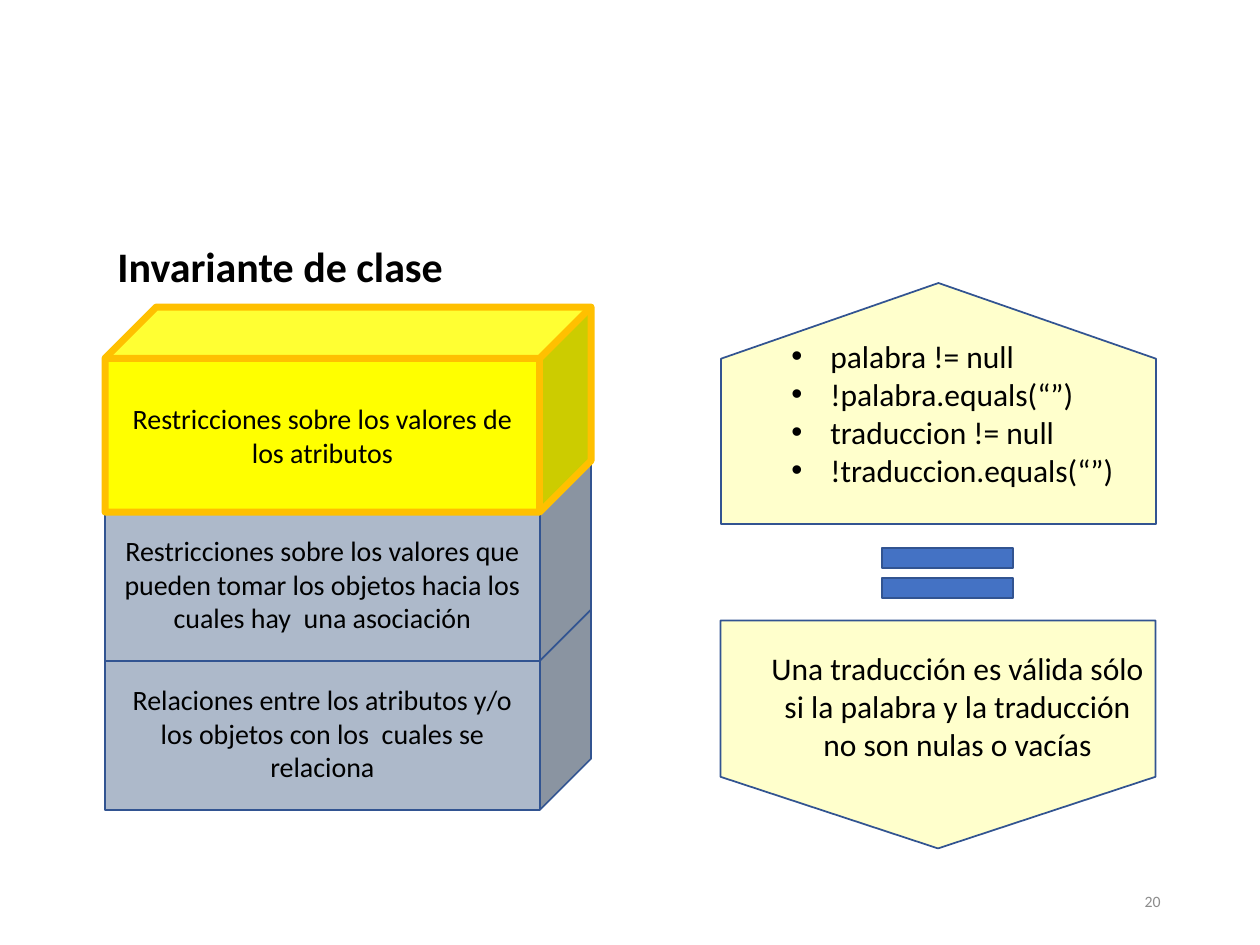
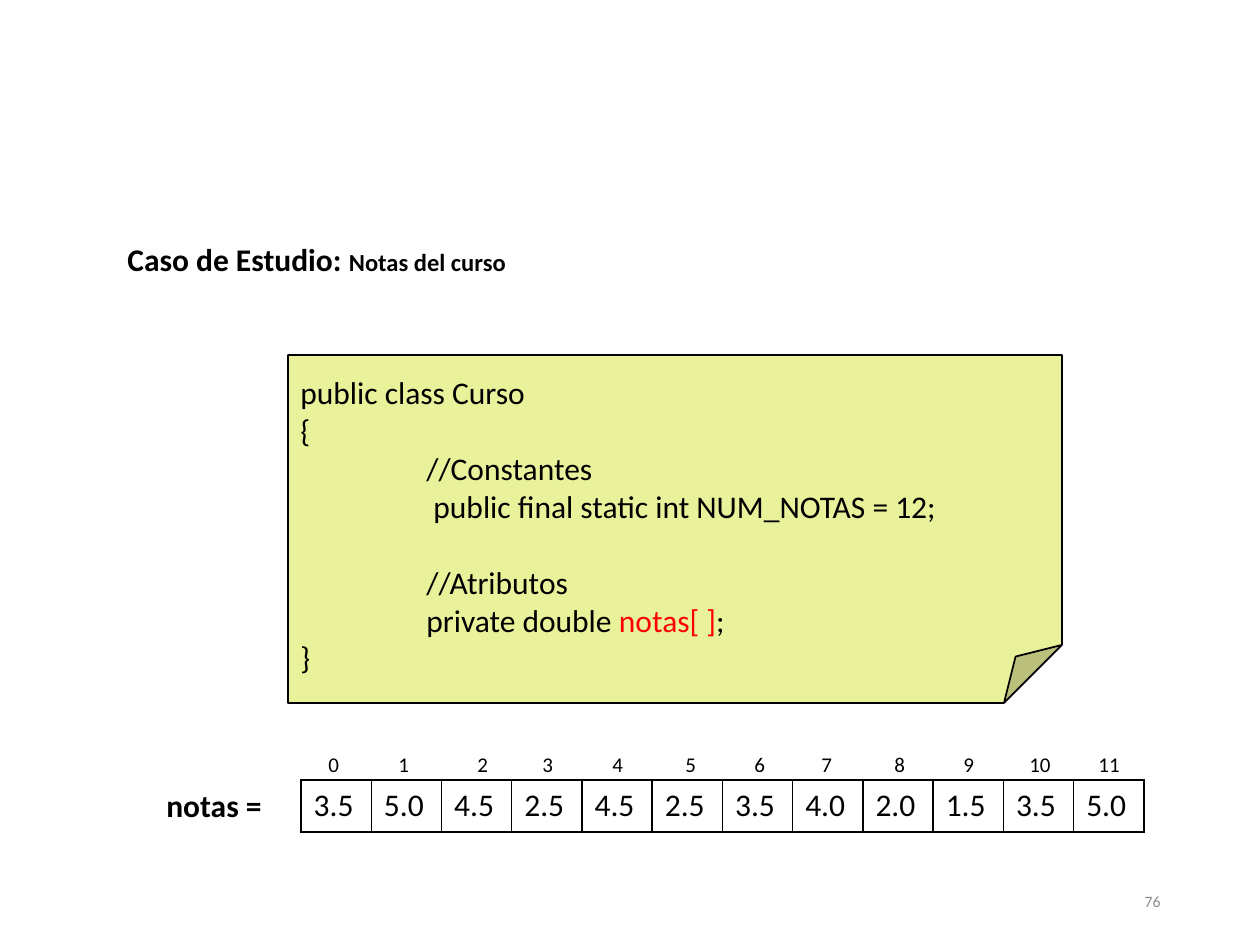
from lxml import etree
from pptx import Presentation
from pptx.dml.color import RGBColor
from pptx.enum.shapes import MSO_SHAPE
from pptx.enum.text import MSO_ANCHOR, MSO_AUTO_SIZE, PP_ALIGN
from pptx.oxml.ns import qn
from pptx.util import Pt

CENTER, RIGHT = PP_ALIGN.CENTER, PP_ALIGN.RIGHT
MIDDLE = MSO_ANCHOR.MIDDLE
GROW = MSO_AUTO_SIZE.SHAPE_TO_FIT_TEXT
PENTAGON, CUBE = MSO_SHAPE.PENTAGON, MSO_SHAPE.CUBE
EQUAL, NOTE = MSO_SHAPE.MATH_EQUAL, MSO_SHAPE.FOLDED_CORNER

SCALE = 914400 / 126
FONT = "Calibri"
BLACK, RED, GREY = "000000", "FF0000", "8C8C8C"
NAVY, BLUE, SLATE = "325491", "4472C4", "ADB9CA"
YELLOW, AMBER, CREAM, LIME = "FFFF00", "FFC000", "FFFFCC", "E9F19A"

# Slide 1: cubes from bottom to top, as (text, fill, line colour, line width)
CUBES = [
    ("Relaciones entre los atributos y/o los objetos con los  cuales se relaciona",
     SLATE, NAVY, 1),
    ("Restricciones sobre los valores que pueden tomar los objetos hacia los "
     "cuales hay  una asociación", SLATE, NAVY, 1),
    ("Restricciones sobre los valores de los atributos", YELLOW, AMBER, 4),
]
CUBE_LEFT, CUBE_BOTTOM_TOP, CUBE_STEP = 105, 605, 149
CONDITIONS = ["palabra != null", "!palabra.equals(“”)",
              "traduccion != null", "!traduccion.equals(“”)"]
MEANING = ("Una traducción es válida sólo si la palabra y la traducción "
           "no son nulas o vacías")
PLATES = [((824, 517, 228, 435), 90), ((818, 186, 241, 435), 270)]

# Slide 2: code lines as (spans, indent, space before in points)
CODE = [
    (["public class Curso"], 0, 0),
    (["{"], 0, 0),
    (["//Constantes"], 126, 0),
    ([" public final static int NUM_NOTAS = 12;"], 126, 0),
    (["//Atributos"], 126, 22),
    (["private double ", ("notas[ ]", {"color": RED}), ";"], 126, 0),
    (["}"], 0, 0),
]
GRADES = ["3.5", "5.0", "4.5", "2.5", "4.5", "2.5",
          "3.5", "4.0", "2.0", "1.5", "3.5", "5.0"]
INDEX_LEFTS = [316, 386, 465, 530, 600, 673, 742, 809, 882, 951, 1017, 1086]


def px(value):
    """Turn picture pixels into EMU."""
    return round(value * SCALE)


def place(frame):
    """Turn a frame in pixels into EMU."""
    return [px(value) for value in frame]


def rgb(color):
    """Turn a hex string into a colour."""
    return RGBColor.from_string(color)


def write(para, spans, size, color=BLACK, bold=False):
    """Add spans, each a string or a (string, changes) pair, to a paragraph."""
    for item in spans:
        words, changes = (item, {}) if isinstance(item, str) else item
        style = {"size": size, "color": color, "bold": bold, **changes}
        span = para.add_run()
        span.text = words
        formats = {"name": FONT, "size": Pt(style["size"]), "bold": style["bold"]}
        for name, value in formats.items():
            setattr(span.font, name, value)
        span.font.color.rgb = rgb(style["color"])


def fill_text(box, lines, size, align=None, anchor=None, wrap=True, grow=None,
              bullet=False, **style):
    """Fill a box with lines, each given as (spans, indent, space before)."""
    frame = box.text_frame
    formats = {"word_wrap": wrap, "auto_size": grow, "vertical_anchor": anchor}
    for name, value in formats.items():
        setattr(frame, name, value)
    for number, (spans, indent, before) in enumerate(lines):
        para = frame.add_paragraph() if number else frame.paragraphs[0]
        para.alignment = align
        if before:
            para.space_before = Pt(before)
        if indent:
            para._p.get_or_add_pPr().set("marL", str(px(indent)))
        if bullet:
            props = para._p.get_or_add_pPr()
            props.set("indent", str(-px(indent)))
            etree.SubElement(props, qn("a:buFont")).set("typeface", "Arial")
            etree.SubElement(props, qn("a:buChar")).set("char", "•")
        write(para, spans, size, **style)


def add_text(shapes, frame, lines, size, **style):
    """Add a text box; plain strings become unindented lines."""
    lines = [([line], 0, 0) if isinstance(line, str) else line for line in lines]
    box = shapes.add_textbox(*place(frame))
    fill_text(box, lines, size, **style)


def add_figure(shapes, kind, frame, fill, line=NAVY, width=1):
    """Add a flat preset shape."""
    box = shapes.add_shape(kind, *place(frame))
    box.shadow.inherit = False
    box.fill.solid()
    box.fill.fore_color.rgb = rgb(fill)
    box.line.color.rgb = rgb(line)
    box.line.width = Pt(width)
    return box


def add_page(deck, number):
    """Add a blank page with its page number."""
    page = deck.slides.add_slide(deck.slide_layouts[6])
    add_text(page.shapes, (890, 876, 283, 50), [number], 9, align=RIGHT,
             anchor=MIDDLE, color=GREY)
    return page.shapes


def add_borders(cell):
    """Draw thin black lines on the four sides of a cell."""
    props = cell._tc.get_or_add_tcPr()
    for index, side in enumerate(("lnL", "lnR", "lnT", "lnB")):
        line = etree.Element(qn("a:" + side), w=str(Pt(1)))
        paint = etree.SubElement(line, qn("a:solidFill"))
        etree.SubElement(paint, qn("a:srgbClr")).set("val", BLACK)
        props.insert(index, line)


def add_grades(shapes, frame):
    """Add the one-row table of grades."""
    table = shapes.add_table(1, len(GRADES), *place(frame)).table
    table.first_row = table.horz_banding = False
    for column, grade in enumerate(GRADES):
        table.columns[column].width = px(frame[2] / len(GRADES))
        cell = table.cell(0, column)
        cell.fill.background()
        write(cell.text_frame.paragraphs[0], [grade], 18)
        add_borders(cell)


def build_invariant(deck):
    """Build the page on the class invariant."""
    shapes = add_page(deck, "20")
    for frame, angle in PLATES:
        plate = add_figure(shapes, PENTAGON, frame, CREAM)
        plate.adjustments[0] = 0.314
        plate.rotation = angle
    for level, (words, fill, line, width) in enumerate(CUBES):
        top = CUBE_BOTTOM_TOP - level * CUBE_STEP
        cube = add_figure(shapes, CUBE, (CUBE_LEFT, top, 486, 205), fill, line, width)
        fill_text(cube, [([words], 0, 0)], 16, align=CENTER, anchor=MIDDLE)
    add_text(shapes, (105, 234, 674, 63), ["Invariante de clase"], 24,
             bold=True, grow=GROW)
    add_text(shapes, (779, 331, 377, 165), [([line], 39, 0) for line in CONDITIONS],
             18, bullet=True, grow=GROW)
    add_figure(shapes, EQUAL, (858, 530, 179, 86), BLUE)
    add_text(shapes, (759, 643, 397, 165), [MEANING], 18, align=CENTER, grow=GROW)


def build_case(deck):
    """Build the page on the course grades."""
    shapes = add_page(deck, "76")
    title = ["Caso de Estudio: ", ("Notas del curso", {"size": 14})]
    add_text(shapes, (115, 234, 576, 50), [(title, 0, 0)], 18, bold=True, grow=GROW)
    note = shapes.add_group_shape().shapes
    add_figure(note, NOTE, (288, 355, 774, 348), LIME, BLACK)
    add_text(note, (288, 367, 759, 318), CODE, 18, grow=GROW)
    add_grades(shapes, (301, 780, 843, 52))
    add_text(shapes, (154, 780, 137, 50), ["notas ="], 18, bold=True,
             wrap=False, grow=GROW)
    for index, left in enumerate(INDEX_LEFTS):
        width = 37 if index < 10 else 47
        add_text(shapes, (left, 745, width, 38), [str(index)], 12,
                 wrap=False, grow=GROW)


deck = Presentation()
deck.slide_width, deck.slide_height = px(1260), px(945)
build_invariant(deck)
build_case(deck)
deck.save("out.pptx")
